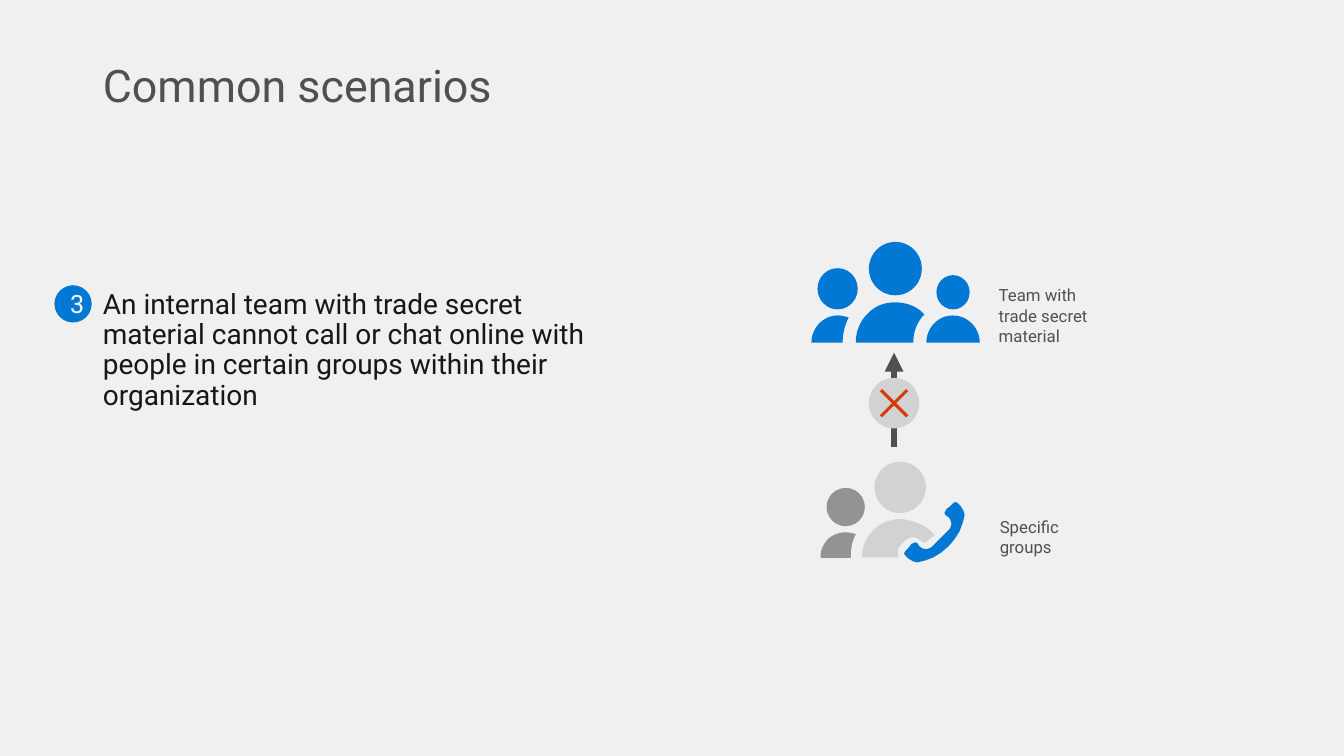
from dataclasses import dataclass

from lxml.etree import SubElement
from pptx import Presentation
from pptx.dml.color import RGBColor
from pptx.enum.shapes import MSO_CONNECTOR, MSO_SHAPE
from pptx.enum.text import MSO_ANCHOR, MSO_AUTO_SIZE, PP_ALIGN
from pptx.oxml.ns import qn
from pptx.util import Inches, Pt

COLORS = {
    "page": "F0F0F0", "text": "171717", "gray": "505050", "blue": "0078D4",
    "light": "D2D2D2", "mid": "939393", "red": "D83B01", "white": "FFFFFF",
}
FONT = "Roboto"
CELL = Inches(0.1)
COLS, ROWS = 133.33, 75
CURVE_STEPS = 12
PHONE_AXIS = 39.9


@dataclass(frozen=True)
class Disc:
    left: float
    top: float
    width: float
    height: float
    color: str


@dataclass(frozen=True)
class Outline:
    start: tuple[float, float]
    segments: list[tuple[float, ...]]
    color: str


@dataclass(frozen=True)
class Label:
    text: str
    left: float
    top: float
    width: float
    height: float


@dataclass(frozen=True)
class Stroke:
    start: tuple[float, float]
    end: tuple[float, float]
    color: str
    width: float
    arrow: bool = False


TEAM_HEADS = [
    Disc(92.9, 27.3, 3.3, 3.4, "blue"),
    Disc(86.2, 24, 5.25, 5.3, "blue"),
    Disc(81.1, 26.6, 4, 4.1, "blue"),
]
TEAM_BODIES = [
    Outline((80.5, 34), [(83.6, 34), (83.6, 33.1, 83.8, 32.3, 84.2, 31.5),
                         (83.8, 31.4, 83.5, 31.3, 83.1, 31.3),
                         (81.7, 31.3, 80.5, 32.5, 80.5, 34)], "blue"),
    Outline((84.9, 34), [(90.6, 34), (90.6, 32.9, 91, 31.9, 91.7, 31.2),
                         (91, 30.4, 89.9, 30, 88.8, 30),
                         (87.7, 30, 86.7, 30.4, 86, 31.2),
                         (85.3, 31.9, 84.9, 32.9, 84.9, 34)], "blue"),
    Outline((91.9, 34), [(97.2, 34), (97.2, 32.5, 96, 31.3, 94.5, 31.3),
                         (93.1, 31.3, 91.9, 32.5, 91.9, 34)], "blue"),
]
GROUP_HEADS = [
    Disc(86.75, 45.8, 5.1, 5.1, "light"),
    Disc(82, 48.4, 3.8, 3.8, "mid"),
]
GROUP_BODIES = [
    Outline((85.5, 55.3), [(89.2, 55.3), (89.1, 55.1, 89, 54.8, 89.1, 54.6),
                           (89.1, 54.2, 90, 53.3, 90.5, 53.3),
                           (91.1, 53.3, 91.7, 53.9, 91.7, 53.9), (92.7, 53.1),
                           (91.9, 51.9, 89.9, 51.5, 89.3, 51.5),
                           (87.2, 51.5, 85.5, 53.2, 85.5, 55.3)], "light"),
    Outline((81.4, 55.35), [(84.4, 55.35), (84.4, 54.5, 84.5, 53.7, 84.9, 53),
                            (83.6, 52.5, 82.1, 53, 81.6, 54.3),
                            (81.4, 54.7, 81.4, 55, 81.4, 55.35)], "mid"),
]
EARPIECE = [
    (94.1, 54.2), (94.7, 53.5), (95.2, 52.7), (95.5, 51.9), (95.7, 51.1),
    (95.6, 50.7), (95.3, 50.2), (95, 49.9), (94.8, 49.8), (94.6, 49.9),
    (94.3, 50.2), (93.9, 50.5), (93.7, 50.9), (93.8, 51.1), (94.1, 51.3),
    (94.3, 51.6), (94.4, 52), (94.3, 52.3), (94.2, 52.5),
]
MOUTHPIECE = [(y + PHONE_AXIS, x - PHONE_AXIS) for x, y in reversed(EARPIECE)]
PHONE = Outline(EARPIECE[0], EARPIECE[1:] + MOUTHPIECE, "blue")
ARROW = Stroke((88.7, 44.3), (88.7, 35), "gray", 4.5, True)
BLOCK_SIGN = Disc(86.2, 37.5, 5, 5, "light")
CROSS = [
    Stroke((87.4, 38.7), (90, 41.3), "red", 2.25),
    Stroke((87.4, 41.3), (90, 38.7), "red", 2.25),
]
LABELS = [
    Label("Specific groups", 98.2, 50.8, 10.3, 5),
    Label("Team with trade secret material", 98.1, 27.8, 11.3, 7.1),
]
BADGE = Disc(5.4, 28.3, 3.7, 3.7, "blue")


def grid(*cells: float) -> list[int]:
    return [round(cell * CELL) for cell in cells]


def rgb(name: str) -> RGBColor:
    return RGBColor.from_string(COLORS[name])


def write(sp, text: str, *, size: float, color: str, align=PP_ALIGN.LEFT,
          anchor=MSO_ANCHOR.TOP, spacing: float = 1.0) -> None:
    tf = sp.text_frame
    tf.word_wrap = True
    tf.auto_size = MSO_AUTO_SIZE.NONE
    tf.vertical_anchor = anchor
    p = tf.paragraphs[0]
    p.alignment = align
    p.line_spacing = spacing
    p.space_before = Pt(0)
    r = p.add_run()
    r.text = text
    r.font.name = FONT
    r.font.size = Pt(size)
    r.font.color.rgb = rgb(color)


def place(sp, left: float, top: float, width: float, height: float) -> None:
    sp.left, sp.top, sp.width, sp.height = grid(left, top, width, height)


def paint(sp, color: str) -> None:
    sp.shadow.inherit = False
    sp.fill.solid()
    sp.fill.fore_color.rgb = rgb(color)
    sp.line.fill.background()


def add_disc(s, disc: Disc):
    sp = s.shapes.add_shape(
        MSO_SHAPE.OVAL, *grid(disc.left, disc.top, disc.width, disc.height))
    paint(sp, disc.color)
    return sp


def trace(outline: Outline) -> list[tuple[float, float]]:
    points = [outline.start]
    for seg in outline.segments:
        if len(seg) == 2:
            points.append(seg)
            continue
        x0, y0 = points[-1]
        x1, y1, x2, y2, x3, y3 = seg
        for step in range(1, CURVE_STEPS + 1):
            t = step / CURVE_STEPS
            u = 1 - t
            a, b, c, d = u ** 3, 3 * u * u * t, 3 * u * t * t, t ** 3
            points.append((a * x0 + b * x1 + c * x2 + d * x3,
                           a * y0 + b * y1 + c * y2 + d * y3))
    return points


def add_outline(s, outline: Outline) -> None:
    points = [grid(*point) for point in trace(outline)]
    builder = s.shapes.build_freeform(*points[0])
    builder.add_line_segments(points[1:], close=True)
    paint(builder.convert_to_shape(), outline.color)


def add_stroke(s, stroke: Stroke) -> None:
    cx = s.shapes.add_connector(
        MSO_CONNECTOR.STRAIGHT, *grid(*stroke.start, *stroke.end))
    cx.line.color.rgb = rgb(stroke.color)
    cx.line.width = Pt(stroke.width)
    if stroke.arrow:
        SubElement(cx.line._get_or_add_ln(), qn("a:tailEnd"), type="triangle")
    SubElement(cx._element.spPr, qn("a:effectLst"))


def main() -> None:
    prs = Presentation()
    prs.slide_width, prs.slide_height = grid(COLS, ROWS)
    s = prs.slides.add_slide(prs.slide_layouts[1])
    s.background.fill.solid()
    s.background.fill.fore_color.rgb = rgb("page")

    title, body = s.placeholders
    place(title, 9.2, 5.1, 115, 7.3)
    write(title, "Common scenarios", size=32, color="gray",
          anchor=MSO_ANCHOR.MIDDLE, spacing=0.9)
    place(body, 9.2, 28.3, 52.2, 39.3)
    pPr = body.text_frame.paragraphs[0]._p.get_or_add_pPr()
    pPr.set("marL", "0")
    pPr.set("indent", "0")
    SubElement(pPr, qn("a:buNone"))
    write(body, "An internal team with trade secret material cannot call or chat "
          "online with people in certain groups within their organization",
          size=20, color="text", spacing=0.9)

    for outline in TEAM_BODIES + GROUP_BODIES + [PHONE]:
        add_outline(s, outline)
    for head in TEAM_HEADS + GROUP_HEADS:
        add_disc(s, head)
    add_stroke(s, ARROW)
    add_disc(s, BLOCK_SIGN)
    for stroke in CROSS:
        add_stroke(s, stroke)
    for label in LABELS:
        sp = s.shapes.add_textbox(
            *grid(label.left, label.top, label.width, label.height))
        write(sp, label.text, size=12, color="gray")

    badge = add_disc(s, BADGE)
    tf = badge.text_frame
    tf.margin_left, tf.margin_right, tf.margin_top, tf.margin_bottom = grid(0.8, 0, 0, 0)
    write(badge, "3", size=18, color="white", align=PP_ALIGN.CENTER,
          anchor=MSO_ANCHOR.MIDDLE)
    prs.save("out.pptx")


if __name__ == "__main__":
    main()
